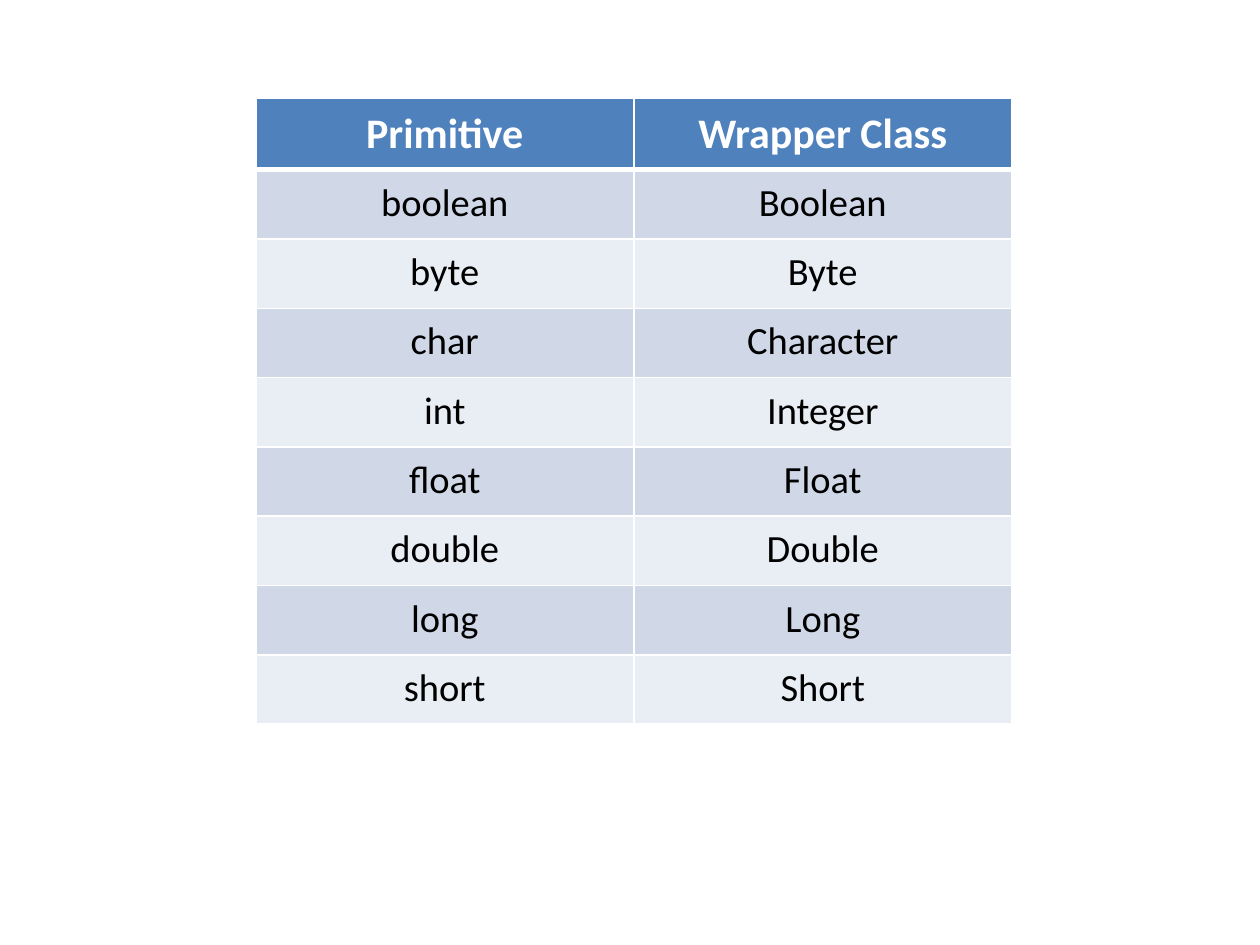
from lxml import etree
from pptx import Presentation
from pptx import util as u
from pptx.dml import color
from pptx.enum import text
from pptx.oxml import ns

ROWS = [
    ("Primitive", "Wrapper Class"),
    ("boolean", "Boolean"),
    ("byte", "Byte"),
    ("char", "Character"),
    ("int", "Integer"),
    ("float", "Float"),
    ("double", "Double"),
    ("long", "Long"),
    ("short", "Short"),
]
HEADER = {"size": u.Pt(24), "bold": True, "name": "Calibri"}
BODY = {"size": u.Pt(22), "bold": False, "name": "Calibri"}
HEADER_FILL = "4F81BD"
BANDS = ("E9EDF4", "D0D8E8")
WHITE = "FFFFFF"
BLACK = "000000"


def rgb(value):
    return color.RGBColor.from_string(value)


def set_attrs(obj, values):
    for name, value in values.items():
        setattr(obj, name, value)


def add_border(cell, side, width):
    tag = ns.qn(f"a:ln{side}")
    ln = etree.SubElement(cell._tc.get_or_add_tcPr(), tag, w=str(u.Pt(width)))
    fill = etree.SubElement(ln, ns.qn("a:solidFill"))
    etree.SubElement(fill, ns.qn("a:srgbClr"), val=WHITE)


def fill_cell(cell, words, fill, font, font_color, borders):
    margin = u.Inches(0.08)
    sides = ("left", "right", "top", "bottom")
    set_attrs(cell, {f"margin_{side}": margin for side in sides})
    for side, width in borders.items():
        add_border(cell, side, width)
    cell.fill.solid()
    cell.fill.fore_color.rgb = rgb(fill)
    p = cell.text_frame.paragraphs[0]
    p.alignment = text.PP_ALIGN.CENTER
    r = p.add_run()
    r.text = words
    set_attrs(r.font, font)
    r.font.color.rgb = rgb(font_color)


def add_type_table(s, rows, left, top, width, row_height):
    height = row_height * len(rows)
    frame = s.shapes.add_table(len(rows), len(rows[0]), left, top, width, height)
    table = frame.table
    for i, row in enumerate(rows):
        table.rows[i].height = row_height
        is_header = i == 0
        fill = HEADER_FILL if is_header else BANDS[i % 2]
        font = HEADER if is_header else BODY
        font_color = WHITE if is_header else BLACK
        borders = {"L": 1, "R": 1, "T": 3 if i == 1 else 1, "B": 3 if is_header else 1}
        for j, words in enumerate(row):
            fill_cell(table.cell(i, j), words, fill, font, font_color, borders)


def main():
    prs = Presentation()
    set_attrs(prs, {"slide_width": u.Inches(10), "slide_height": u.Inches(7.5)})
    s = prs.slides.add_slide(prs.slide_layouts[6])
    s.background.fill.solid()
    s.background.fill.fore_color.rgb = rgb(WHITE)
    add_type_table(s, ROWS, u.Inches(2.03), u.Inches(0.78), u.Inches(6), u.Inches(0.55))
    prs.save("out.pptx")


main()
